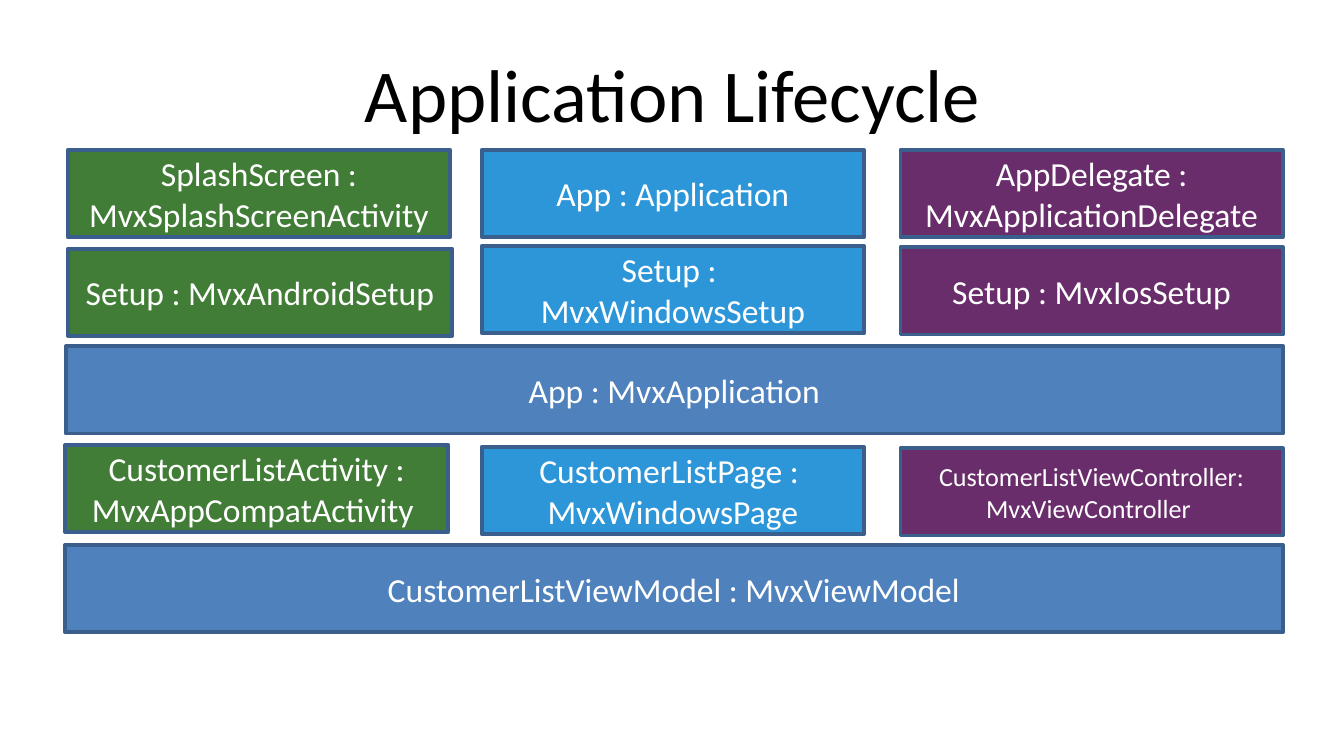
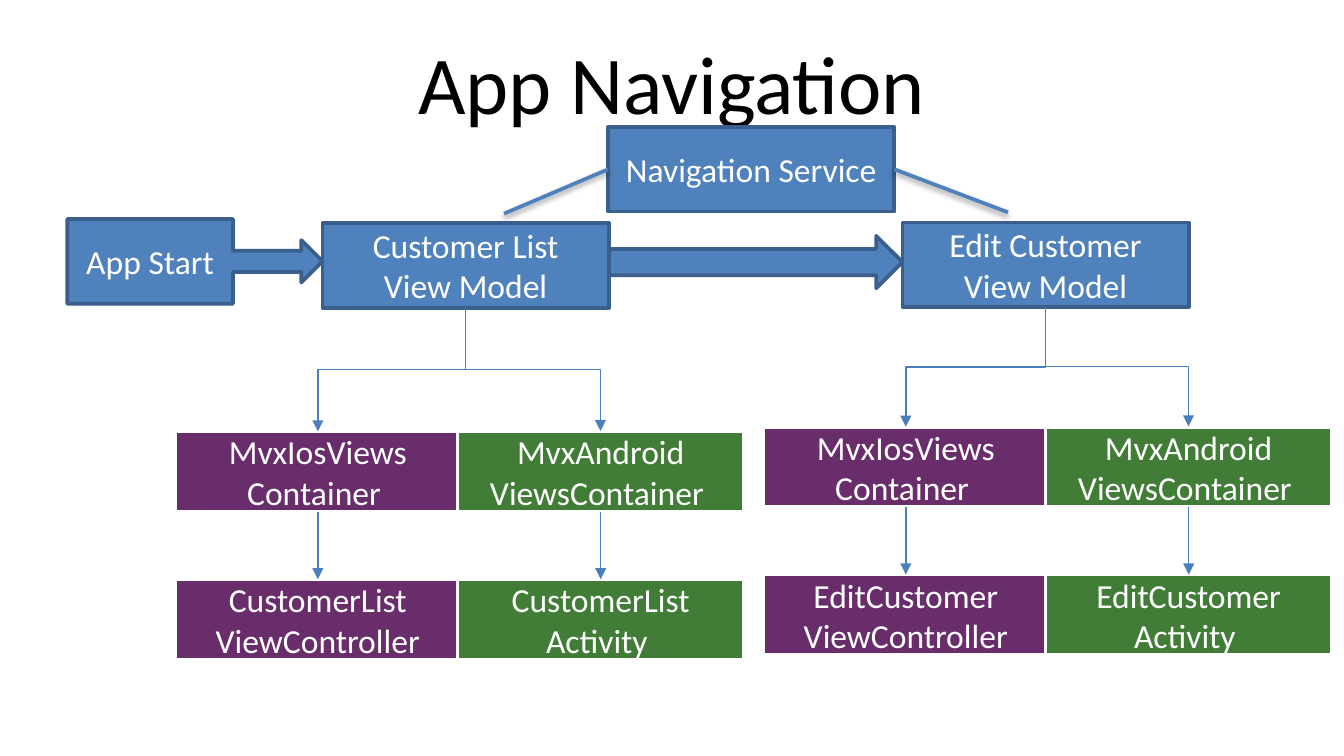
from dataclasses import dataclass

from lxml.etree import SubElement
from pptx import Presentation
from pptx.dml.color import RGBColor
from pptx.enum.shapes import MSO_CONNECTOR, MSO_SHAPE
from pptx.enum.text import MSO_ANCHOR, PP_ALIGN
from pptx.oxml.ns import qn
from pptx.util import Pt

PX = 4572  # 200 px to the inch


@dataclass(frozen=True)
class Theme:
    font: str = "Calibri"
    black: str = "000000"
    white: str = "FFFFFF"
    core: str = "4F81BD"
    border: str = "3A5F8C"
    arrow: str = "4B7EBC"
    android: str = "417D36"
    windows: str = "2D96D9"
    ios: str = "692D6B"
    title: int = 44
    title_small: int = 40
    body: int = 18
    small: int = 14
    thick: float = 2
    thin: float = 0.75


theme = Theme()


def box(slide, at, text, fill, border=theme.border, size=theme.body, kind=MSO_SHAPE.RECTANGLE):
    """Draw a shape with centred text; without a fill it is a plain text box."""
    at = [value * PX for value in at]
    if fill is None:
        shape = slide.shapes.add_textbox(*at)
    else:
        shape = slide.shapes.add_shape(kind, *at)
        shape.shadow.inherit = False
        shape.fill.solid()
        shape.fill.fore_color.rgb = RGBColor.from_string(fill)
        shape.line.color.rgb = RGBColor.from_string(border)
        shape.line.width = Pt(theme.thick)
    frame = shape.text_frame
    frame.word_wrap = True
    frame.vertical_anchor = MSO_ANCHOR.MIDDLE
    for index, line in enumerate(text.split("\n") if text else []):
        paragraph = frame.paragraphs[0] if index == 0 else frame.add_paragraph()
        paragraph.alignment = PP_ALIGN.CENTER
        run = paragraph.add_run()
        run.text = line
        run.font.name = theme.font
        run.font.size = Pt(size)
        run.font.color.rgb = RGBColor.from_string(theme.white if fill else theme.black)
    return shape


def connect(slide, start, end, kind=MSO_CONNECTOR.STRAIGHT, arrow=True):
    """Draw a thin arrow, or a thick shadowed line when arrow is False."""
    connector = slide.shapes.add_connector(kind, *[value * PX for value in (*start, *end)])
    connector.line.color.rgb = RGBColor.from_string(theme.arrow if arrow else theme.core)
    connector.line.width = Pt(theme.thin if arrow else theme.thick)
    properties = connector._element.spPr
    effects = SubElement(properties, qn("a:effectLst"))
    if arrow:
        SubElement(properties.find(qn("a:ln")), qn("a:tailEnd"), type="triangle")
    else:
        shadow = SubElement(effects, qn("a:outerShdw"), blurRad="40000", dist="20000",
                            dir="5400000", rotWithShape="0")
        shade = SubElement(shadow, qn("a:srgbClr"), val=theme.black)
        SubElement(shade, qn("a:alpha"), val="38000")
    return connector


deck = Presentation()
deck.slide_width, deck.slide_height = 2000 * PX, 1125 * PX
blank = deck.slide_layouts[6]

# Application Lifecycle
lifecycle = deck.slides.add_slide(blank)
box(lifecycle, (101, 44, 1800, 188), "Application Lifecycle", None, size=theme.title_small)

row_height = 130
platforms = [
    (theme.android, [
        (101, 223, 569, "SplashScreen : MvxSplashScreenActivity", theme.body),
        (101, 370, 572, "Setup : MvxAndroidSetup", theme.body),
        (97, 662, 570, "CustomerListActivity : MvxAppCompatActivity ", theme.body)]),
    (theme.windows, [
        (717, 223, 569, "App : Application", theme.body),
        (717, 366, 569, "Setup : \nMvxWindowsSetup", theme.body),
        (717, 665, 569, "CustomerListPage : \nMvxWindowsPage", theme.body)]),
    (theme.ios, [
        (1340, 223, 569, "AppDelegate : MvxApplicationDelegate", theme.body),
        (1340, 368, 569, "Setup : MvxIosSetup", theme.body),
        (1340, 667, 569, "CustomerListViewController: MvxViewController ", theme.small)]),
    (theme.core, [
        (98, 515, 1811, "App : MvxApplication", theme.body),
        (97, 811, 1812, "CustomerListViewModel : MvxViewModel", theme.body)]),
]
for colour, stages in platforms:
    for left, top, width, text, size in stages:
        box(lifecycle, (left, top, width, row_height), text, colour, size=size)

# App Navigation
navigation = deck.slides.add_slide(blank)
box(navigation, (100, 28, 1800, 188), "App Navigation", None, size=theme.title)
box(navigation, (100, 326, 380, 126), "App Start", theme.core, kind=MSO_SHAPE.RIGHT_ARROW_CALLOUT)
box(navigation, (906, 351, 437, 78), "", theme.core, kind=MSO_SHAPE.RIGHT_ARROW)

node_width, model_height = 426, 126
view_height, view_step = 120, 220
trees = [
    (480, 332, "Customer List View Model", "CustomerList", 260, 681, 642),
    (1343, 331, "Edit Customer View Model", "EditCustomer", 1135, 1556, 635),
]
for model_left, model_top, model_text, prefix, ios_left, android_left, top in trees:
    box(navigation, (model_left, model_top, node_width, model_height), model_text, theme.core)
    branches = [
        (ios_left, theme.ios, "MvxIosViews Container ", f"{prefix} ViewController"),
        (android_left, theme.android, "MvxAndroid ViewsContainer ", f"{prefix} Activity "),
    ]
    root_x, root_y = model_left + node_width // 2, model_top + model_height
    for left, colour, container_text, view_text in branches:
        container, view = [
            box(navigation, (left, top + row * view_step, node_width, view_height),
                text, colour, theme.white)
            for row, text in enumerate([container_text, view_text])]
        down = connect(navigation, (left, top), (left, top))
        down.begin_connect(container, 2)
        down.end_connect(view, 0)

        # An elbow that leaves downwards is a sideways one turned by a quarter.
        leaf_x = left + node_width // 2
        drop, spread = top - root_y, abs(leaf_x - root_x)
        near = (root_x + leaf_x - drop) // 2
        far = near + drop
        upper = (root_y + top - spread) // 2
        goes_left = leaf_x < root_x
        elbow = connect(navigation, (near if goes_left else far, upper),
                        (far if goes_left else near, upper + spread), MSO_CONNECTOR.ELBOW)
        elbow._element.spPr.find(qn("a:xfrm")).set("rot", "5400000" if goes_left else "16200000")

service = box(navigation, (905, 189, 426, 126), "Navigation Service", theme.core)
for side, end in [(1, (750, 318)), (3, (1500, 316))]:
    link = connect(navigation, end, end, arrow=False)
    link.begin_connect(service, side)

deck.save("out.pptx")
